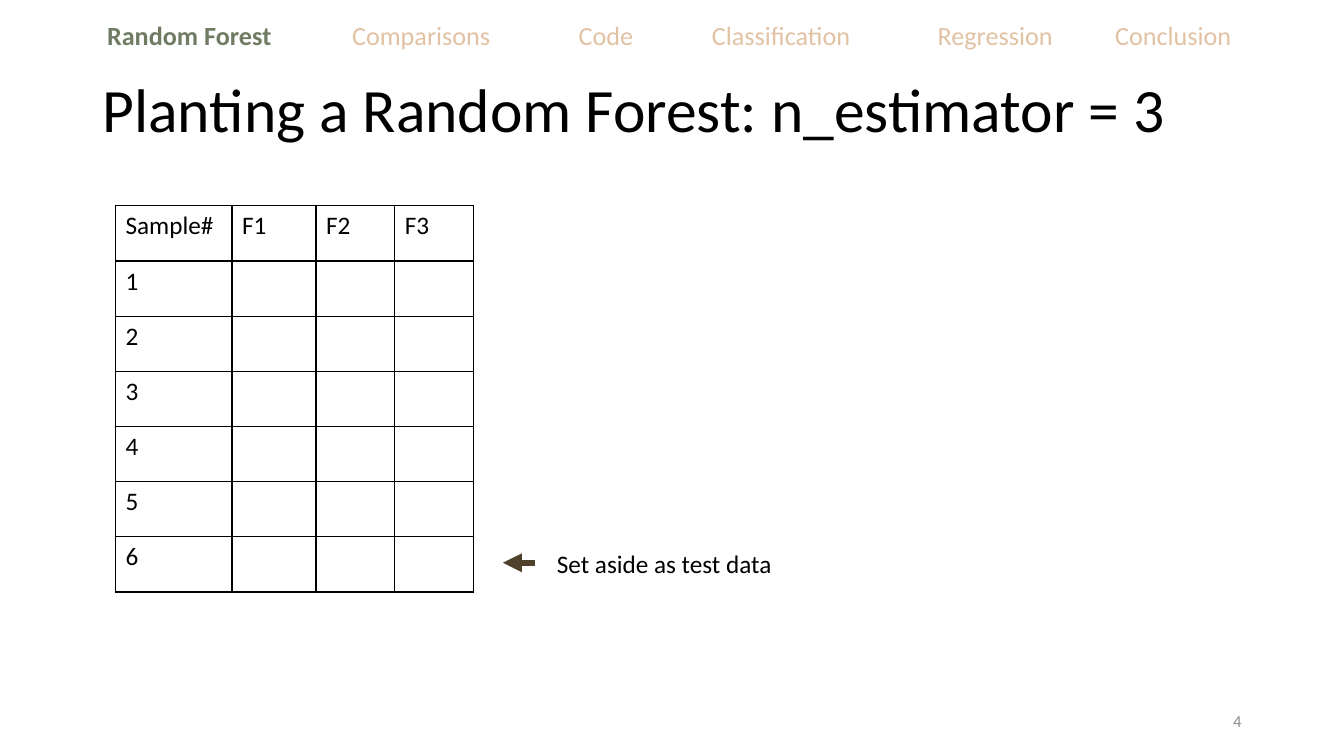
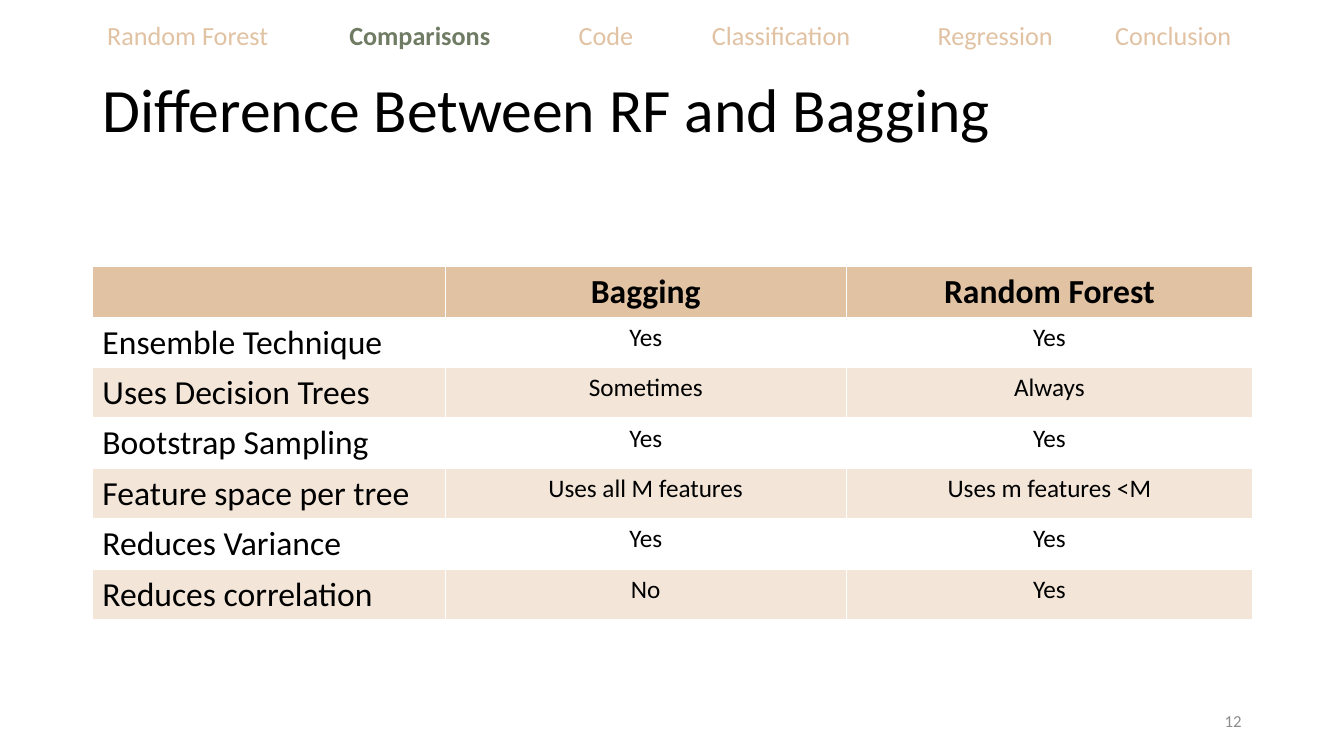
from lxml import etree
from pptx import Presentation
from pptx import util as u
from pptx.dml.color import RGBColor
from pptx.enum import shapes, text
from pptx.oxml import ns

# Shared look
FONT = "Calibri"
COLORS = {"ink": "000000", "active": "6F7B63", "sand": "E1C2A3",
          "band": "F3E6D9", "number": "8C8C8C", "arrow": "4E422C",
          "white": "FFFFFF"}
LEFT, CENTER, RIGHT = (text.PP_ALIGN.LEFT, text.PP_ALIGN.CENTER,
                       text.PP_ALIGN.RIGHT)

# Section label, tab position on the slide, tab alignment
NAV_LEFT = 102
SECTIONS = [("Random Forest", NAV_LEFT, "l"), ("Comparisons", 467, "r"),
            ("Code", 551, "l"), ("Classification", 678, "l"),
            ("Regression", 893, "l"), ("Conclusion", 1062, "l")]

SAMPLE_ROWS = [["Sample#", "F1", "F2", "F3"]]
SAMPLE_ROWS += [[str(sample), "", "", ""] for sample in range(1, 7)]

COMPARISON_ROWS = [
    ["", "Bagging", "Random Forest"],
    ["Ensemble Technique", "Yes", "Yes"],
    ["Uses Decision Trees", "Sometimes", "Always"],
    ["Bootstrap Sampling", "Yes", "Yes"],
    ["Feature space per tree", "Uses all M features", "Uses m features <M"],
    ["Reduces Variance", "Yes", "Yes"],
    ["Reduces correlation", "No", "Yes"],
]


def px(length):
    return u.Emu(length * 9525)


def rgb(name):
    return RGBColor.from_string(COLORS[name])


def xml_child(parent, tag, **attributes):
    return etree.SubElement(parent, ns.qn(tag), attributes)


def style(paragraph, size, color="ink", align=LEFT, bold=False):
    paragraph.alignment = align
    font = paragraph.font
    font.name, font.size, font.bold = FONT, u.Pt(size), bold
    font.color.rgb = rgb(color)


def add_text_box(slide, left, top, width, height):
    frame = slide.shapes.add_textbox(*map(px, (left, top, width, height))).text_frame
    frame.word_wrap = True
    frame.vertical_anchor = text.MSO_ANCHOR.MIDDLE
    return frame


def add_label(slide, words, box, size, **look):
    paragraph = add_text_box(slide, *box).paragraphs[0]
    paragraph.text = words
    style(paragraph, size, **look)


# Parts found on every slide
def add_title(slide, words):
    title = slide.shapes.title
    title.left, title.top, title.width, title.height = map(px, (88, 38, 1104, 139))
    frame = title.text_frame
    frame.text = words
    frame.auto_size = text.MSO_AUTO_SIZE.NONE
    frame.vertical_anchor = text.MSO_ANCHOR.MIDDLE
    frame.paragraphs[0].line_spacing = 0.9
    style(frame.paragraphs[0], 44)


def add_navigation(slide, current):
    frame = add_text_box(slide, NAV_LEFT, 14, 1120, 38)
    frame.margin_left = frame.margin_right = 0
    paragraph = frame.paragraphs[0]
    tabs = xml_child(paragraph._p.get_or_add_pPr(), "a:tabLst")
    for _, stop, align in SECTIONS[1:]:
        xml_child(tabs, "a:tab", pos=str(px(stop - NAV_LEFT)), algn=align)
    style(paragraph, 18.7, color="sand")
    for index, (section, _, _) in enumerate(SECTIONS):
        run = paragraph.add_run()
        run.text = f"\t{section}" if index else section
        if section == current:
            run.font.bold = True
            run.font.color.rgb = rgb("active")


def add_content_slide(prs, title, section, number):
    slide = prs.slides.add_slide(prs.slide_layouts[5])
    add_title(slide, title)
    add_navigation(slide, section)
    add_label(slide, number, (904, 667, 288, 38), 12, color="number", align=RIGHT)
    return slide


# Tables and arrows
def set_borders(cell, color):
    properties = cell._tc.get_or_add_tcPr()
    for side in ("a:lnL", "a:lnR", "a:lnT", "a:lnB"):
        line = xml_child(properties, side, w=str(u.Pt(1)))
        fill = xml_child(line, "a:solidFill")
        xml_child(fill, "a:srgbClr", val=COLORS[color])


def add_grid(slide, rows, left, top, widths, height, border, look):
    """look(row, column) gives the cell's fill name and its text style."""
    table = slide.shapes.add_table(
        len(rows), len(widths),
        *map(px, (left, top, sum(widths), height))).table
    table.first_row = table.horz_banding = False
    for column, width in zip(table.columns, widths):
        column.width = px(width)
    for r, row in enumerate(rows):
        for c, words in enumerate(row):
            cell = table.cell(r, c)
            fill, text_style = look(r, c)
            set_borders(cell, border)
            if fill:
                cell.fill.solid()
                cell.fill.fore_color.rgb = rgb(fill)
            else:
                cell.fill.background()
            cell.text = words
            style(cell.text_frame.paragraphs[0], **text_style)


def sample_look(row, column):
    return None, {"size": 18}


def comparison_look(row, column):
    header = row == 0
    fill = "sand" if header else (None if row % 2 else "band")
    return fill, {"size": 24 if header or column == 0 else 18,
                  "align": CENTER if column else LEFT, "bold": header}


def add_arrow(slide, start, end):
    arrow = slide.shapes.add_connector(
        shapes.MSO_CONNECTOR.STRAIGHT, *map(px, start + end))
    arrow.line.color.rgb = rgb("arrow")
    arrow.line.width = u.Pt(4.5)
    properties = arrow._element.spPr
    xml_child(properties.find(ns.qn("a:ln")), "a:tailEnd", type="triangle")
    xml_child(properties, "a:effectLst")


def main():
    prs = Presentation()
    prs.slide_width, prs.slide_height = px(1280), px(720)

    # Sample table with the row held out for testing
    planting = add_content_slide(
        prs, "Planting a Random Forest: n_estimator = 3", "Random Forest", "4")
    add_grid(planting, SAMPLE_ROWS, 110, 196, (111, 80, 75, 75), 368,
             "ink", sample_look)
    add_arrow(planting, (510, 536), (479, 536))
    add_label(planting, "Set aside as test data", (521, 517, 363, 39), 18)

    # Comparison of the two methods
    difference = add_content_slide(
        prs, "Difference Between RF and Bagging", "Comparisons", "12")
    add_grid(difference, COMPARISON_ROWS, 88, 254, (336, 382, 387), 336,
             "white", comparison_look)

    prs.save("out.pptx")


if __name__ == "__main__":
    main()
